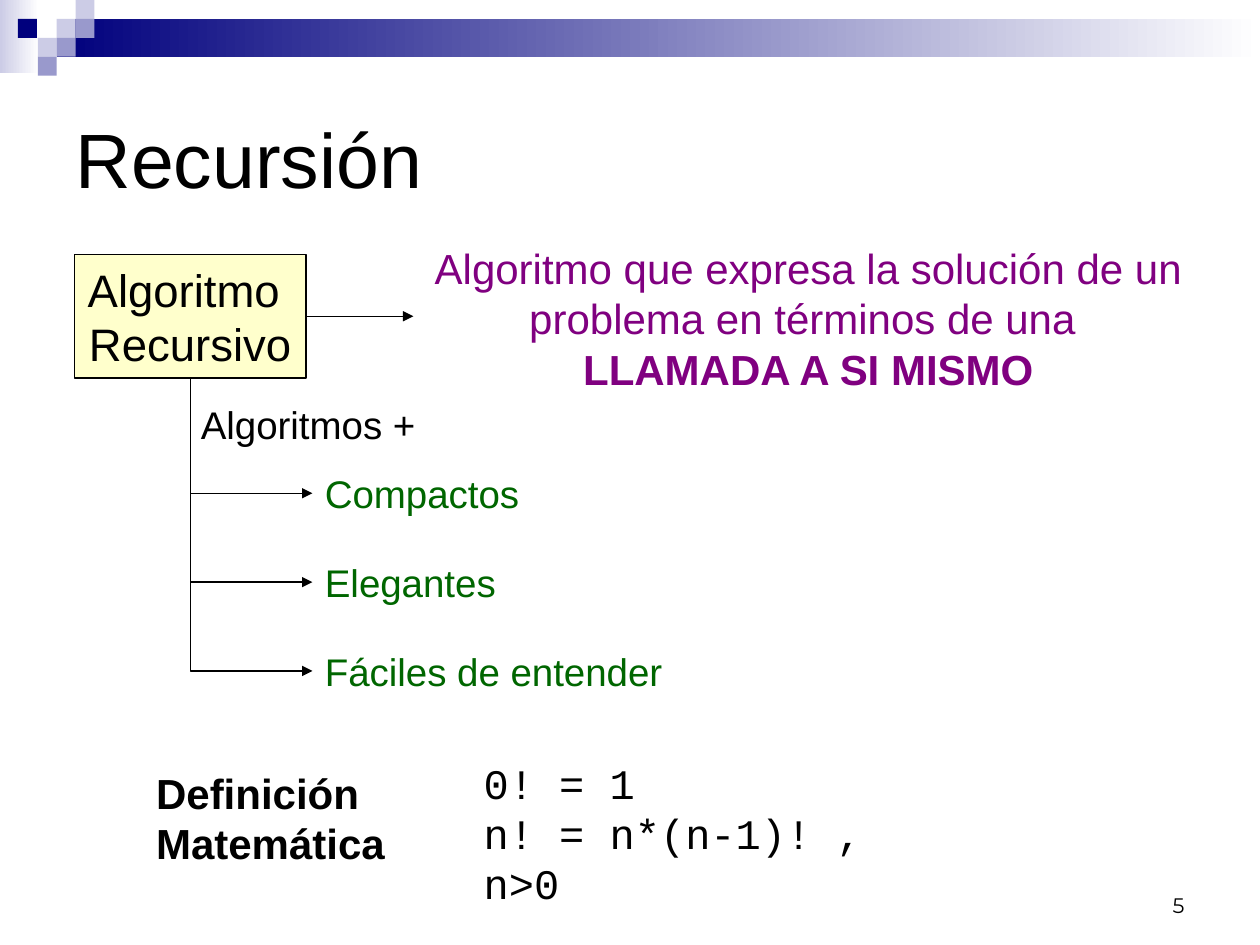
from dataclasses import dataclass
from typing import NamedTuple

import pptx
import pptx.dml.color
import pptx.enum.shapes
import pptx.enum.text
import pptx.oxml
import pptx.oxml.ns
import pptx.util

SHAPE = pptx.enum.shapes.MSO_SHAPE
WIRE = pptx.enum.shapes.MSO_CONNECTOR
ALIGN = pptx.enum.text.PP_ALIGN
ANCHOR = pptx.enum.text.MSO_ANCHOR

# The page is a grid of 100 columns by 75 rows
COLUMNS, ROWS = 100, 75
CELL = pptx.util.Inches(0.1)
TILE = 1.5  # side of a mosaic tile, in cells


@dataclass(frozen=True)
class Theme:
    black: str = "000000"
    white: str = "FFFFFF"
    navy: str = "00007D"
    lilac: str = "CCCCE6"
    violet: str = "9999CC"
    purple: str = "800080"
    green: str = "006600"
    cream: str = "FFFFCC"
    sans: str = "Arial"
    mono: str = "Courier New"
    number_font: str = "Montserrat"
    title: float = 44
    concept: float = 26
    body: float = 24
    label: float = 22
    number: float = 12
    line: float = 0.75


THEME = Theme()


class Area(NamedTuple):
    left: float
    top: float
    width: float
    height: float

    def lengths(self) -> list:
        return [cells(value) for value in self]


@dataclass(frozen=True)
class Style:
    size: float
    color: str = THEME.black
    font: str = THEME.sans
    bold: bool = False
    align: ALIGN = ALIGN.LEFT
    anchor: ANCHOR = ANCHOR.MIDDLE
    wrap: bool = True


def cells(count: float) -> int:
    return round(count * CELL)


def rgb(color: str) -> pptx.dml.color.RGBColor:
    return pptx.dml.color.RGBColor.from_string(color)


def write(shape, text: str, style: Style) -> None:
    frame = shape.text_frame
    frame.text = text
    frame.word_wrap = style.wrap
    frame.vertical_anchor = style.anchor
    for para in frame.paragraphs:
        para.alignment = style.align
        for span in para.runs:
            span.font.size = pptx.util.Pt(style.size)
            span.font.name = style.font
            span.font.bold = style.bold
            span.font.color.rgb = rgb(style.color)


def add_text(page, area: Area, text: str, style: Style):
    box = page.shapes.add_textbox(*area.lengths())
    write(box, text, style)
    return box


def add_block(page, area: Area, color: str, fade: bool = False):
    block = page.shapes.add_shape(SHAPE.RECTANGLE, *area.lengths())
    block.shadow.inherit = False
    block.line.fill.background()
    if fade:
        block.fill.gradient()
        block.fill.gradient_angle = 0
        for stop, shade in zip(block.fill.gradient_stops, (color, THEME.white)):
            stop.color.rgb = rgb(shade)
    else:
        block.fill.solid()
        block.fill.fore_color.rgb = rgb(color)
    return block


def add_arrow(page, kind: WIRE, start: tuple, end: tuple):
    arrow = page.shapes.add_connector(kind, *map(cells, start + end))
    arrow.line.color.rgb = rgb(THEME.black)
    arrow.line.width = pptx.util.Pt(THEME.line)
    line = arrow.line._get_or_add_ln()
    line.append(pptx.oxml.parse_xml(
        f'<a:tailEnd {pptx.oxml.ns.nsdecls("a")} type="triangle"/>'))
    arrow._element.spPr.append(pptx.oxml.parse_xml(
        f'<a:effectLst {pptx.oxml.ns.nsdecls("a")}/>'))
    return arrow


def add_branch(page, box, label) -> None:
    """One-corner arrow from the bottom of the box to the left of the label."""
    arrow = add_arrow(page, WIRE.ELBOW, (0, 0), (1, 1))
    arrow.begin_connect(box, 2)
    arrow.end_connect(label, 1)
    left, top = box.left + box.width // 2, box.top + box.height
    run, drop = label.left - left, label.top + label.height // 2 - top
    # The corner shape is turned a quarter, so its width is the drop
    arrow.left, arrow.top = left + (run - drop) // 2, top + (drop - run) // 2
    arrow.width, arrow.height = drop, run
    properties = arrow._element.spPr
    properties.xfrm.set("rot", "16200000")
    properties.xfrm.set("flipH", "1")
    properties.xfrm.attrib.pop("flipV", None)
    properties.find(pptx.oxml.ns.qn("a:prstGeom")).set("prst", "bentConnector2")


def add_banner(page) -> None:
    add_block(page, Area(0, 0, 3.1, 5.8), THEME.lilac, fade=True)
    add_block(page, Area(3 * TILE, TILE, COLUMNS - 3 * TILE, 2 * TILE),
              THEME.navy, fade=True)
    # Mosaic: column, row, colour
    for column, row, color in (
        (3, 1, THEME.lilac), (4, 0, THEME.lilac), (4, 1, THEME.violet),
        (2, 2, THEME.lilac), (0.95, 1, THEME.navy), (3, 2, THEME.violet),
        (2, 3, THEME.violet),
    ):
        add_block(page, Area(column * TILE, row * TILE, TILE, TILE), color)


def main() -> None:
    deck = pptx.Presentation()
    deck.slide_width, deck.slide_height = COLUMNS * CELL, ROWS * CELL
    page = deck.slides.add_slide(deck.slide_layouts[5])
    add_banner(page)

    # Title
    title = page.shapes.title
    title.left, title.top, title.width, title.height = Area(5, 5, 90, 15).lengths()
    write(title, "Recursión", Style(THEME.title))

    # Concept and its definition
    box = add_block(page, Area(5.9, 20.2, 18.4, 9.8), THEME.cream)
    box.line.color.rgb = rgb(THEME.black)
    box.line.width = pptx.util.Pt(THEME.line)
    write(box, "Algoritmo \nRecursivo",
          Style(THEME.concept, align=ALIGN.CENTER, wrap=False))
    arrow = add_arrow(page, WIRE.STRAIGHT, (24.3, 25.1), (32.8, 25.1))
    arrow.begin_connect(box, 3)
    meaning = add_text(
        page, Area(31.1, 17, 66.1, 16.5),
        "Algoritmo que expresa la solución de un\n"
        "problema en términos de una \nLLAMADA A SI MISMO",
        Style(THEME.body, THEME.purple, align=ALIGN.CENTER))
    meaning.text_frame.paragraphs[-1].runs[0].font.bold = True

    # Advantages branching from the concept
    add_text(page, Area(7.5, 29.7, 33.9, 7.9), "Algoritmos +",
             Style(THEME.label, align=ALIGN.CENTER))
    for index, quality in enumerate(("Compactos", "Elegantes", "Fáciles de entender")):
        label = add_text(page, Area(24.8, 35.2 + 7.05 * index, 33.9, 7.9),
                         quality, Style(THEME.label, THEME.green))
        add_branch(page, box, label)

    # Mathematical definition
    add_text(page, Area(11.4, 60.4, 20.2, 9), "Definición\nMatemática",
             Style(THEME.body, bold=True, anchor=ANCHOR.TOP, wrap=False))
    add_text(page, Area(37.4, 59.6, 39.4, 9.4), "0! = 1\nn! = n*(n-1)! , n>0",
             Style(THEME.body, font=THEME.mono, anchor=ANCHOR.TOP))

    # Page number
    add_text(page, Area(71.7, 68.3, 23.3, 5), "5",
             Style(THEME.number, font=THEME.number_font, align=ALIGN.RIGHT,
                   anchor=ANCHOR.BOTTOM))
    deck.save("out.pptx")


if __name__ == "__main__":
    main()
